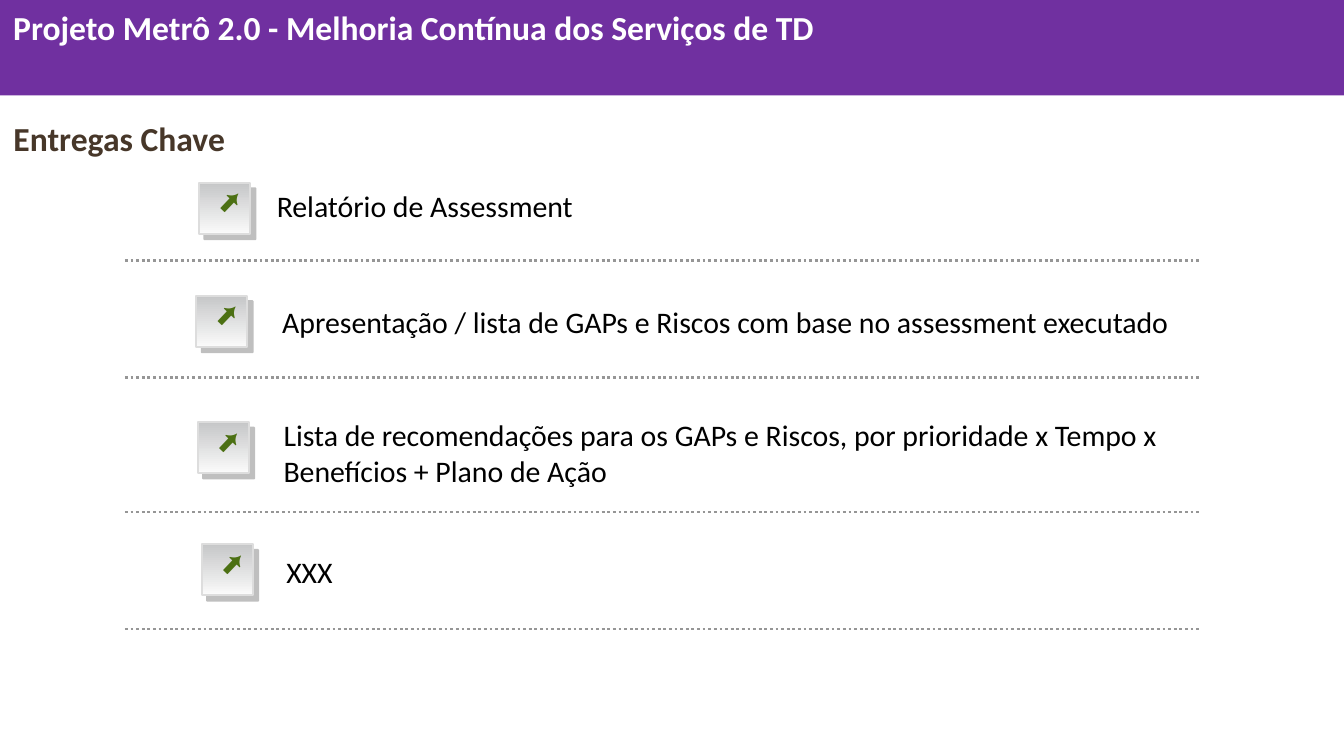
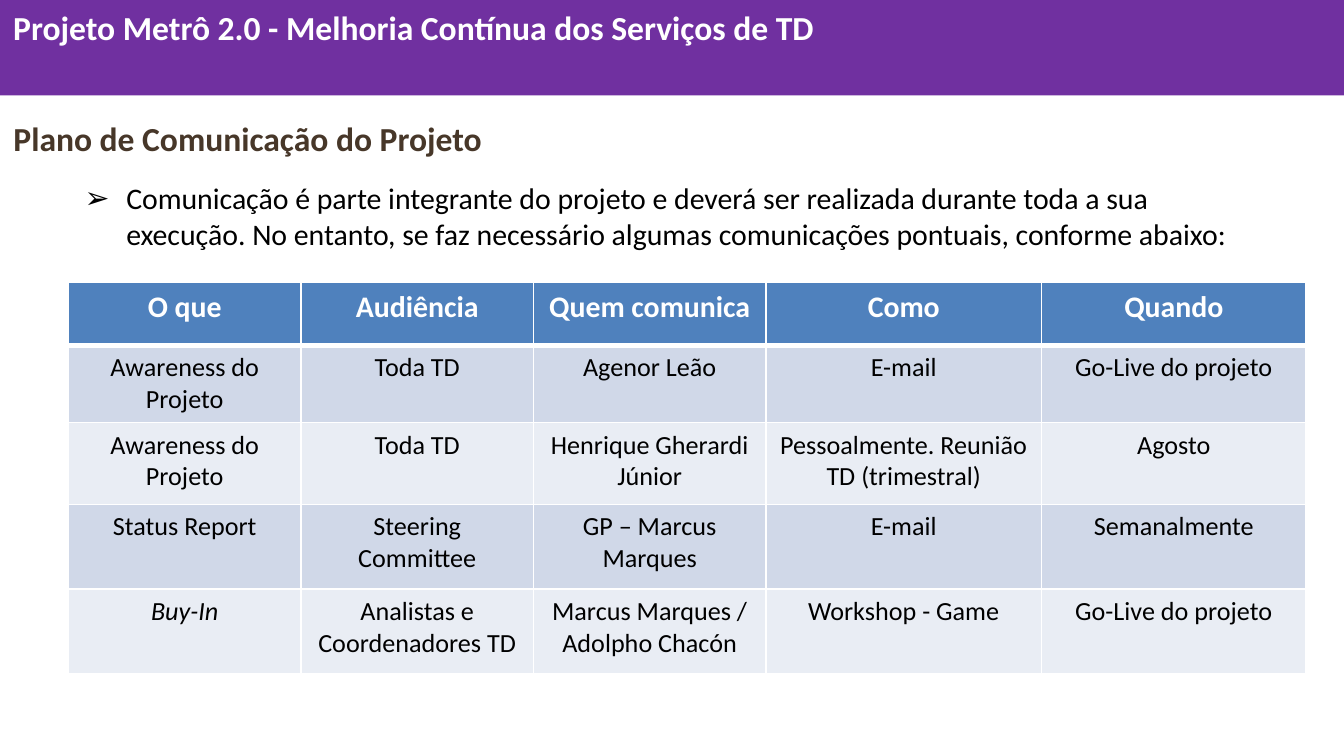
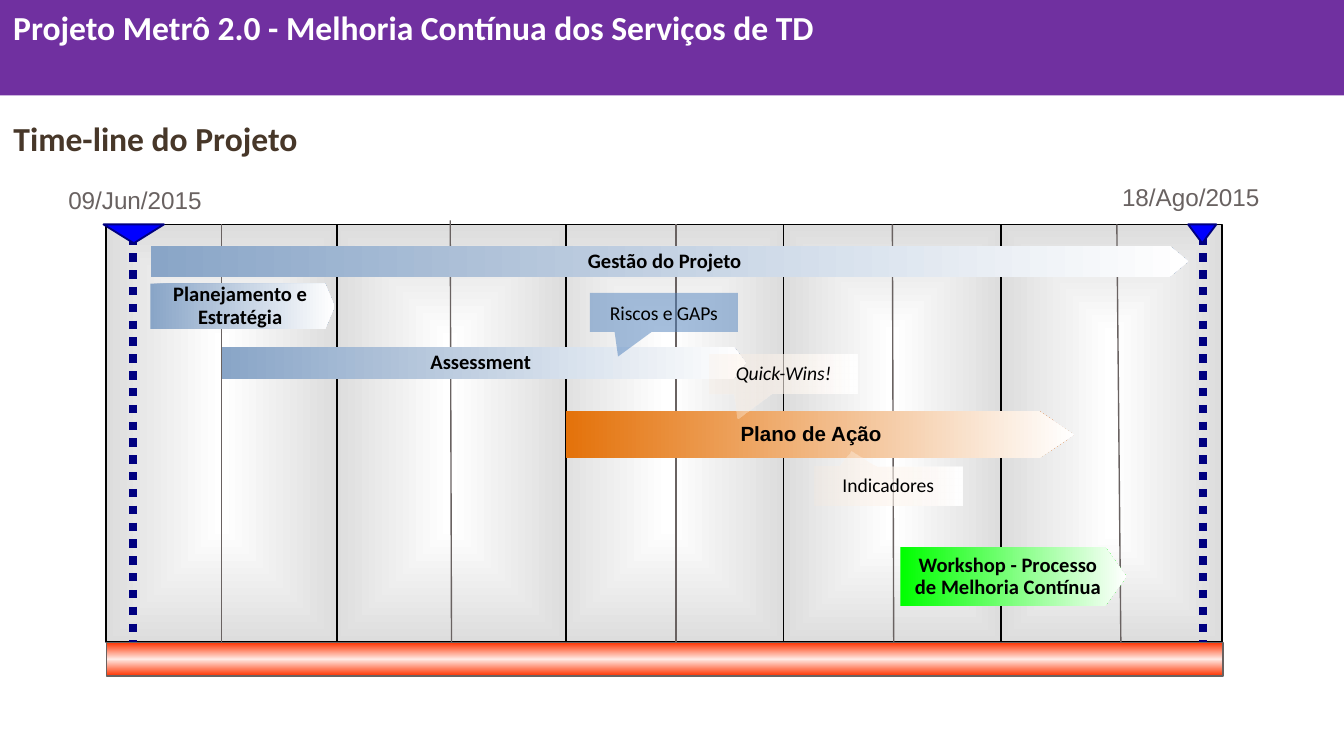
from dataclasses import dataclass
from typing import NamedTuple

from pptx import Presentation
from pptx.dml.color import RGBColor
from pptx.enum.dml import MSO_LINE
from pptx.enum.shapes import MSO_CONNECTOR, MSO_SHAPE
from pptx.enum.text import MSO_ANCHOR, MSO_AUTO_SIZE, PP_ALIGN
from pptx.oxml import parse_xml
from pptx.oxml.ns import nsdecls, qn
from pptx.util import Inches, Pt


@dataclass(frozen=True)
class Theme:
    font: str = "Calibri"
    alt_font: str = "Arial"
    band: str = "7030A0"
    heading: str = "473729"
    white: str = "FFFFFF"
    black: str = "000000"
    divider: str = "969696"
    icon_top: str = "C6C7C8"
    icon_bottom: str = "FAFAFA"
    icon_edge: str = "DDDDDD"
    icon_shadow: str = "808080"
    icon_arrow: str = "4C7013"
    blue: str = "4F81BD"
    row_dark: str = "D0D8E8"
    row_light: str = "E9EDF4"
    period_edge: str = "DDDDDD"
    grey: str = "696261"
    navy: str = "000080"
    marker: str = "0000FF"
    phase: str = "89A5C7"
    action: str = "E4720A"
    workshop: str = "00FF00"
    cream: str = "FDEBDB"
    base: str = "FF3300"
    base_center: str = "FFEAE5"
    title_size: float = 18
    body_size: float = 16
    table_size: float = 14
    date_size: float = 13
    phase_size: float = 11
    callout_size: float = 10.5


THEME = Theme()


class Box(NamedTuple):
    left: float
    top: float
    width: float
    height: float

    def lengths(self) -> list[int]:
        return [Inches(value) for value in self]


class Stop(NamedTuple):
    position: int
    color: str
    alpha: int = 100


class Deliverable(NamedTuple):
    text: str
    icon: tuple[float, float]
    box: Box
    divider: float


class Phase(NamedTuple):
    text: str
    box: Box
    tip: float
    color: str = THEME.phase
    font: str = THEME.font


class Callout(NamedTuple):
    text: str
    box: Box
    tail: tuple[float, float]
    fill: tuple[Stop, ...]
    italic: bool = False
    line_spacing: float = 0.9


class Milestone(NamedTuple):
    date: str
    date_box: Box
    marker: Box
    line_left: float


PROJECT = "Projeto Metrô 2.0 - Melhoria Contínua dos Serviços de TD"

DELIVERABLES = [
    Deliverable("Relatório de Assessment", (1.48, 1.36), Box(1.86, 1.4, 3.9, 0.53), 1.94),
    Deliverable("Apresentação / lista de GAPs e Riscos com base no assessment executado",
                (1.46, 2.2), Box(1.9, 2.26, 7.59, 0.28), 2.81),
    Deliverable("Lista de recomendações para os GAPs e Riscos, por prioridade x Tempo x "
                "Benefícios + Plano de Ação", (1.47, 3.14), Box(1.91, 3.1, 7.58, 0.27), 3.81),
    Deliverable("XXX", (1.5, 4.05), Box(1.93, 4.12, 6.81, 0.29), 4.68),
]

COMMUNICATION_INTRO = (
    "Comunicação é parte integrante do projeto e deverá ser realizada durante toda a sua "
    "execução. No entanto, se faz necessário algumas comunicações pontuais, conforme abaixo:"
)
COMMUNICATIONS = [
    ("O que", "Audiência", "Quem comunica", "Como", "Quando"),
    ("Awareness do Projeto", "Toda TD", "Agenor Leão", "E-mail", "Go-Live do projeto"),
    ("Awareness do Projeto", "Toda TD", "Henrique Gherardi Júnior",
     "Pessoalmente. Reunião TD (trimestral)", "Agosto"),
    ("Status Report", "Steering Committee", "GP – Marcus Marques", "E-mail", "Semanalmente"),
    ("Buy-In", "Analistas e Coordenadores TD", "Marcus Marques / Adolpho Chacón",
     "Workshop - Game", "Go-Live do projeto"),
]
COLUMN_WIDTHS = (1.73, 1.73, 1.73, 2.05, 1.97)
ROW_HEIGHTS = (0.47, 0.55, 0.61, 0.63, 0.63)

TIMELINE_TOP, TIMELINE_BOTTOM = 1.67, 4.78
PERIODS = [(4.11, 1.72), (5.83, 1.62), (7.45, 1.64), (2.49, 1.72), (0.79, 1.72)]
HALF_PERIODS = [
    ((1.65, TIMELINE_TOP), (1.65, TIMELINE_BOTTOM)),
    ((3.35, 1.64), (3.36, 4.91)),
    ((5.03, TIMELINE_TOP), (5.03, TIMELINE_BOTTOM)),
    ((6.64, TIMELINE_TOP), (6.65, 4.91)),
    ((8.31, TIMELINE_TOP), (8.34, TIMELINE_BOTTOM)),
]
MILESTONES = [
    Milestone("09/Jun/2015", Box(0.41, 1.33, 1.47, 0.32),
              Box(0.77, TIMELINE_TOP, 0.45, 0.14), 0.99),
    Milestone("18/Ago/2015", Box(8.25, 1.31, 1.31, 0.32),
              Box(8.84, TIMELINE_TOP, 0.21, 0.14), 8.95),
]
PHASES = [
    Phase("Planejamento e Estratégia", Box(1.12, 2.11, 1.37, 0.34), 0.21),
    Phase("Assessment", Box(1.65, 2.58, 3.9, 0.24), 0.38),
    Phase("Gestão do Projeto", Box(1.12, 1.83, 7.72, 0.23), 0.6),
    Phase("Plano de Ação", Box(4.21, 3.06, 3.78, 0.35), 0.74, THEME.action, THEME.alt_font),
    Phase("Workshop - Processo de Melhoria Contínua", Box(6.7, 4.07, 1.68, 0.44), 0.36,
          THEME.workshop),
]
PALE = (Stop(0, THEME.cream, 21), Stop(100, THEME.white))
CALLOUTS = [
    Callout("Riscos e GAPs", Box(4.39, 2.18, 1.1, 0.29), (-0.31, 1.13),
            (Stop(0, THEME.blue, 50),), line_spacing=1.0),
    Callout("Quick-Wins!", Box(5.28, 2.64, 1.1, 0.29), (-0.31, 1.13), PALE, italic=True),
    Callout("Indicadores", Box(6.06, 3.47, 1.1, 0.29), (-0.25, -0.88), PALE),
]


def rgb(color: str) -> RGBColor:
    return RGBColor.from_string(color)


def write_text(frame, text: str, *, size: float, color: str = THEME.black,
               font: str = THEME.font, bold: bool = False, italic: bool = False,
               align: PP_ALIGN = PP_ALIGN.LEFT, line_spacing: float = 1.0,
               bullet: str = "", indent: float = 0) -> None:
    paragraph = frame.paragraphs[0]
    paragraph.alignment = align
    paragraph.line_spacing = line_spacing
    if bullet:
        properties = paragraph._p.get_or_add_pPr()
        properties.set("marL", str(Inches(indent)))
        properties.set("indent", str(-Inches(indent)))
        properties.append(parse_xml(f'<a:buFont {nsdecls("a")} typeface="{THEME.alt_font}"/>'))
        properties.append(parse_xml(f'<a:buChar {nsdecls("a")} char="{bullet}"/>'))
    run = paragraph.add_run()
    run.text = text
    run.font.name = font
    run.font.size = Pt(size)
    run.font.bold = bold
    run.font.italic = italic
    run.font.color.rgb = rgb(color)


def arrange_frame(frame, anchor: MSO_ANCHOR = MSO_ANCHOR.TOP, wrap: bool = True,
                  insets: tuple[float, ...] = (0.1, 0.05, 0.1, 0.05)) -> None:
    frame.auto_size = MSO_AUTO_SIZE.NONE
    frame.word_wrap = wrap
    frame.vertical_anchor = anchor
    (frame.margin_left, frame.margin_top,
     frame.margin_right, frame.margin_bottom) = map(Inches, insets)


def add_text(slide, box: Box, text: str, *, wrap: bool = True,
             insets: tuple[float, ...] = (0.1, 0.05, 0.1, 0.05), **text_format):
    label = slide.shapes.add_textbox(*box.lengths())
    arrange_frame(label.text_frame, wrap=wrap, insets=insets)
    write_text(label.text_frame, text, **text_format)
    return label


def paint(shape, stops: tuple[Stop, ...], angle: int = 0, from_center: bool = False) -> None:
    """Fill with one plain colour or a gradient; stops may be transparent."""
    colors = [f'<a:srgbClr val="{stop.color}"><a:alpha val="{stop.alpha * 1000}"/></a:srgbClr>'
              for stop in stops]
    if len(stops) == 1:
        xml = f'<a:solidFill {nsdecls("a")}>{colors[0]}</a:solidFill>'
    else:
        marks = "".join(f'<a:gs pos="{stop.position * 1000}">{color}</a:gs>'
                        for stop, color in zip(stops, colors))
        direction = (
            '<a:path path="shape"><a:fillToRect l="50000" t="50000" r="50000" b="50000"/></a:path>'
            if from_center else f'<a:lin ang="{angle * 60000}" scaled="0"/>')
        xml = (f'<a:gradFill {nsdecls("a")} rotWithShape="1"><a:gsLst>{marks}</a:gsLst>'
               f'{direction}</a:gradFill>')
    shape._element.spPr.find(qn("a:prstGeom")).addnext(parse_xml(xml))


def add_block(slide, kind: MSO_SHAPE, box: Box, stops: tuple[Stop, ...], *, angle: int = 0,
              from_center: bool = False, edge: str = "", edge_width: float = 1,
              adjustments: tuple[float, ...] = ()):
    block = slide.shapes.add_shape(kind, *box.lengths())
    for index, value in enumerate(adjustments):
        block.adjustments[index] = value
    paint(block, stops, angle, from_center)
    if edge:
        block.line.color.rgb = rgb(edge)
        block.line.width = Pt(edge_width)
    else:
        block.line.fill.background()
    block.shadow.inherit = False
    return block


def add_line(slide, start: tuple[float, float], end: tuple[float, float], color: str,
             width: float, dotted: bool = False) -> None:
    line = slide.shapes.add_connector(MSO_CONNECTOR.STRAIGHT, *map(Inches, start + end))
    line.line.color.rgb = rgb(color)
    line.line.width = Pt(width)
    if dotted:
        line.line.dash_style = MSO_LINE.ROUND_DOT
    line._element.spPr.append(parse_xml(f'<a:effectLst {nsdecls("a")}/>'))


def add_project_slide(deck, heading: str, heading_width: float):
    slide = deck.slides.add_slide(deck.slide_layouts[5])
    title = slide.shapes.title
    title.left, title.top, title.width, title.height = Box(0, 0.83, heading_width, 0.4).lengths()
    arrange_frame(title.text_frame, wrap=False)
    write_text(title.text_frame, heading, size=THEME.title_size, color=THEME.heading, bold=True)
    band = add_block(slide, MSO_SHAPE.RECTANGLE, Box(0, 0, 10, 0.71), (Stop(0, THEME.band),))
    arrange_frame(band.text_frame)
    write_text(band.text_frame, PROJECT, size=THEME.title_size, color=THEME.white, bold=True)
    return slide


def add_arrow_icon(slide, left: float, top: float) -> None:
    tile = add_block(slide, MSO_SHAPE.RECTANGLE, Box(left, top, 0.38, 0.38),
                     (Stop(0, THEME.icon_top), Stop(100, THEME.icon_bottom)),
                     angle=90, edge=THEME.icon_edge)
    tile._element.spPr.find(qn("a:effectLst")).append(parse_xml(
        f'<a:outerShdw {nsdecls("a")} dist="{Pt(4.2)}" dir="2700000" algn="ctr">'
        f'<a:srgbClr val="{THEME.icon_shadow}"><a:alpha val="50000"/></a:srgbClr></a:outerShdw>'))
    arrow = add_text(slide, Box(left + 0.09, top + 0.01, 0.25, 0.32), "⬇", wrap=False,
                     size=THEME.table_size, color=THEME.icon_arrow, font=THEME.alt_font,
                     align=PP_ALIGN.CENTER)
    arrow.rotation = 223.6


def build_deliverables(deck) -> None:
    slide = add_project_slide(deck, "Entregas Chave", 1.82)
    for item in DELIVERABLES:
        add_line(slide, (0.93, item.divider), (8.94, item.divider), THEME.divider, 1.5, dotted=True)
        add_arrow_icon(slide, *item.icon)
        add_text(slide, item.box, item.text, insets=(0.2, 0, 0.04, 0.04), size=THEME.body_size)


def set_border(cell, side: str, width: float) -> None:
    properties = cell._tc.get_or_add_tcPr()
    properties.append(parse_xml(
        f'<a:ln{side} {nsdecls("a")} w="{Pt(width)}"><a:solidFill>'
        f'<a:srgbClr val="{THEME.white}"/></a:solidFill></a:ln{side}>'))


def build_communication_plan(deck) -> None:
    slide = add_project_slide(deck, "Plano de Comunicação do Projeto", 3.84)
    add_text(slide, Box(0.51, 1.28, 9.06, 0.66), COMMUNICATION_INTRO,
             insets=(0.12, 0.06, 0.12, 0.06), size=THEME.body_size, bullet="➢", indent=0.31)
    plan = slide.shapes.add_table(
        len(ROW_HEIGHTS), len(COLUMN_WIDTHS),
        *Box(0.51, 2.1, sum(COLUMN_WIDTHS), sum(ROW_HEIGHTS)).lengths()).table
    plan.horz_banding = False
    for column, width in zip(plan.columns, COLUMN_WIDTHS):
        column.width = Inches(width)
    for row_index, (row, height, entries) in enumerate(
            zip(plan.rows, ROW_HEIGHTS, COMMUNICATIONS)):
        row.height = Inches(height)
        header = row_index == 0
        fill = THEME.blue if header else THEME.row_dark if row_index % 2 else THEME.row_light
        for cell, entry in zip(row.cells, entries):
            write_text(cell.text_frame, entry, align=PP_ALIGN.CENTER, bold=header,
                       size=THEME.body_size if header else THEME.table_size,
                       color=THEME.white if header else THEME.black,
                       italic=entry == "Buy-In")
            for side in "LRTB":
                below_header = (row_index, side) in ((0, "B"), (1, "T"))
                set_border(cell, side, 3 if below_header else 1)
            cell.fill.solid()
            cell.fill.fore_color.rgb = rgb(fill)


def add_phase(slide, phase: Phase) -> None:
    bar = add_block(slide, MSO_SHAPE.PENTAGON, phase.box,
                    (Stop(0, phase.color), Stop(100, THEME.white)), adjustments=(phase.tip,))
    arrange_frame(bar.text_frame, MSO_ANCHOR.MIDDLE)
    write_text(bar.text_frame, phase.text, size=THEME.phase_size, font=phase.font, bold=True,
               align=PP_ALIGN.CENTER, line_spacing=0.9)


def add_callout(slide, callout: Callout) -> None:
    bubble = add_block(slide, MSO_SHAPE.RECTANGULAR_CALLOUT, callout.box, callout.fill,
                       adjustments=callout.tail)
    arrange_frame(bubble.text_frame, MSO_ANCHOR.MIDDLE)
    write_text(bubble.text_frame, callout.text, size=THEME.callout_size, italic=callout.italic,
               align=PP_ALIGN.CENTER, line_spacing=callout.line_spacing)


def add_milestone(slide, milestone: Milestone) -> None:
    add_line(slide, (milestone.line_left, 1.76), (milestone.line_left, TIMELINE_BOTTOM),
             THEME.navy, 4.5, dotted=True)
    marker = add_block(slide, MSO_SHAPE.ISOSCELES_TRIANGLE, milestone.marker,
                       (Stop(0, THEME.marker),), edge=THEME.navy)
    marker.rotation = 180
    add_text(slide, milestone.date_box, milestone.date, size=THEME.date_size,
             color=THEME.grey, font=THEME.alt_font)


def build_timeline(deck) -> None:
    slide = add_project_slide(deck, "Time-line do Projeto", 2.39)
    for left, width in PERIODS:
        add_block(slide, MSO_SHAPE.RECTANGLE,
                  Box(left, TIMELINE_TOP, width, TIMELINE_BOTTOM - TIMELINE_TOP),
                  (Stop(0, THEME.white), Stop(100, THEME.period_edge)),
                  from_center=True, edge=THEME.black)
    for start, end in HALF_PERIODS:
        add_line(slide, start, end, THEME.grey, 0.75)
    for milestone in MILESTONES:
        add_milestone(slide, milestone)
    add_block(slide, MSO_SHAPE.RECTANGLE, Box(0.79, TIMELINE_BOTTOM, 8.31, 0.25),
              (Stop(0, THEME.base), Stop(50, THEME.base_center), Stop(100, THEME.base)),
              angle=90, edge=THEME.grey, edge_width=0.75)
    for phase in PHASES:
        add_phase(slide, phase)
    for callout in CALLOUTS:
        add_callout(slide, callout)


def main() -> None:
    deck = Presentation()
    deck.slide_width = Inches(10)
    deck.slide_height = Inches(10 * 9 / 16)
    build_deliverables(deck)
    build_communication_plan(deck)
    build_timeline(deck)
    deck.save("out.pptx")


if __name__ == "__main__":
    main()
